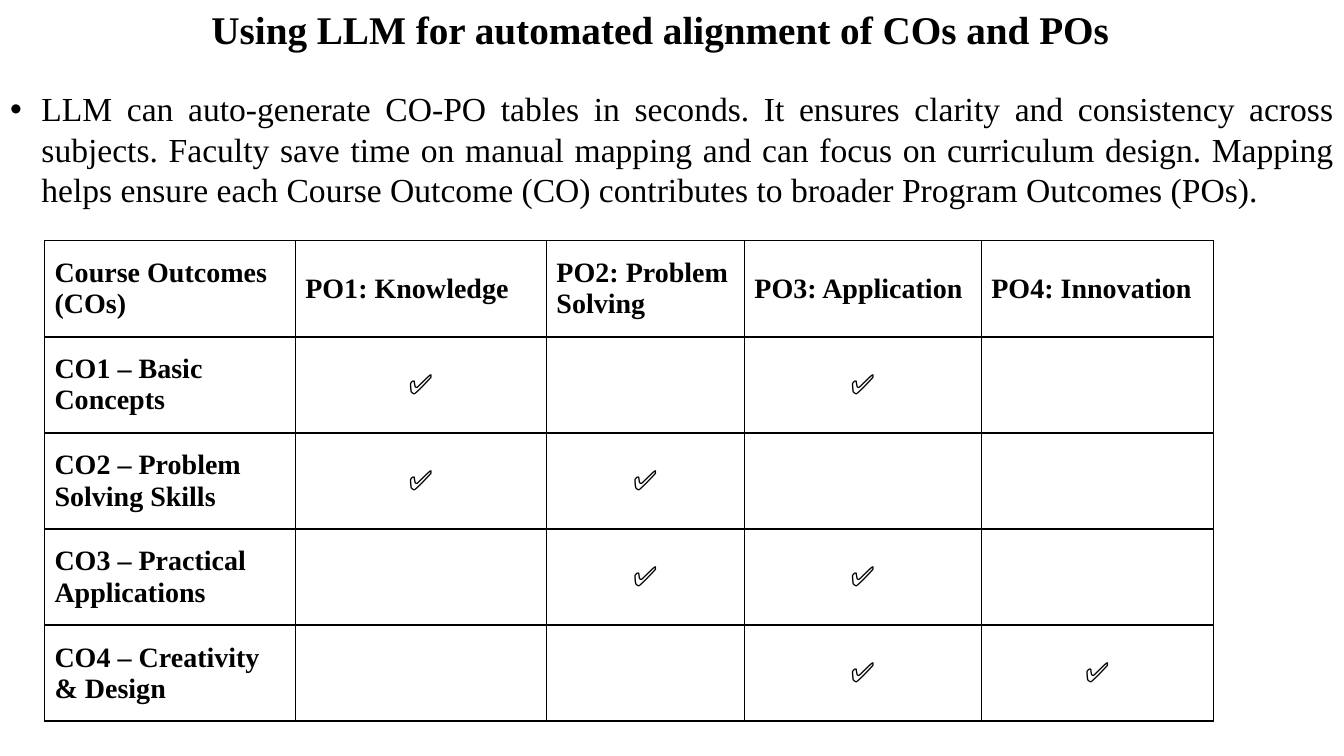
"""Build the slide on aligning course outcomes with program outcomes."""
from lxml.etree import SubElement
from pptx import Presentation
from pptx.dml.color import RGBColor
from pptx.enum.text import MSO_ANCHOR as Anchor, PP_ALIGN as Align
from pptx.oxml.ns import qn
from pptx.util import Cm, Pt

BLACK = RGBColor(0x00, 0x00, 0x00)
WHITE = RGBColor(0xFF, 0xFF, 0xFF)
FONT = "Times New Roman"
CHECK = "✅"
WIDTH = Cm(33.87)


def style_font(font, size, bold=False):
    font.name = FONT
    font.size = Pt(size)
    font.bold = bold
    font.color.rgb = BLACK


def add_borders(cell):
    properties = cell._tc.get_or_add_tcPr()
    for side in ("lnL", "lnR", "lnT", "lnB"):
        line = SubElement(properties, qn(f"a:{side}"), w=str(Pt(1)))
        fill = SubElement(line, qn("a:solidFill"))
        SubElement(fill, qn("a:srgbClr"), val=str(BLACK))


deck = Presentation()
deck.slide_width, deck.slide_height = WIDTH, Cm(19.05)
page = deck.slides.add_slide(deck.slide_layouts[1])
title, body = page.placeholders

title.left, title.top, title.width, title.height = Cm(-0.3), Cm(0.13), WIDTH, Cm(1.35)
title.text_frame.text = "Using LLM for automated alignment of COs and POs"
title.text_frame.vertical_anchor = Anchor.MIDDLE
heading = title.text_frame.paragraphs[0]
heading.alignment = Align.CENTER
heading.line_spacing = 0.9
style_font(heading.font, 28, bold=True)

body.left, body.top, body.width, body.height = Cm(0), Cm(2.1), WIDTH, Cm(3.33)
body.text_frame.text = (
    "LLM can auto-generate CO-PO tables in seconds. It ensures clarity and "
    "consistency across subjects. Faculty save time on manual mapping and can "
    "focus on curriculum design. Mapping helps ensure each Course Outcome (CO) "
    "contributes to broader Program Outcomes (POs)."
)
para = body.text_frame.paragraphs[0]
bullet = para._p.get_or_add_pPr()
bullet.set("marL", str(Cm(0.79)))
bullet.set("indent", str(Cm(-0.79)))
SubElement(bullet, qn("a:buFont"), typeface="Arial")
SubElement(bullet, qn("a:buChar"), char="•")
para.alignment = Align.JUSTIFY
para.space_before = Pt(0)
style_font(para.font, 24)

rows = [
    ["Course Outcomes (COs)", "PO1: Knowledge", "PO2: Problem Solving",
     "PO3: Application", "PO4: Innovation"],
    ["CO1 – Basic Concepts", CHECK, "", CHECK, ""],
    ["CO2 – Problem Solving Skills", CHECK, CHECK, "", ""],
    ["CO3 – Practical Applications", "", CHECK, CHECK, ""],
    ["CO4 – Creativity & Design", "", "", CHECK, CHECK],
]
column_widths = [6.32, 6.33, 4.99, 5.97, 5.85]
row_height = 2.42

frame = page.shapes.add_table(
    len(rows), len(column_widths), Cm(1.12), Cm(6.07),
    Cm(sum(column_widths)), Cm(row_height * len(rows)),
)
table = frame.table
table.horz_banding = False
for column, width in zip(table.columns, column_widths):
    column.width = Cm(width)
for row_index, texts in enumerate(rows):
    table.rows[row_index].height = Cm(row_height)
    for column_index, text in enumerate(texts):
        cell = table.cell(row_index, column_index)
        is_label = row_index == 0 or column_index == 0
        cell.text = text
        cell.vertical_anchor = Anchor.MIDDLE
        para = cell.text_frame.paragraphs[0]
        para.alignment = Align.LEFT if is_label else Align.CENTER
        style_font(para.font, 20, bold=is_label)
        add_borders(cell)
        cell.fill.solid()
        cell.fill.fore_color.rgb = WHITE

deck.save("out.pptx")
